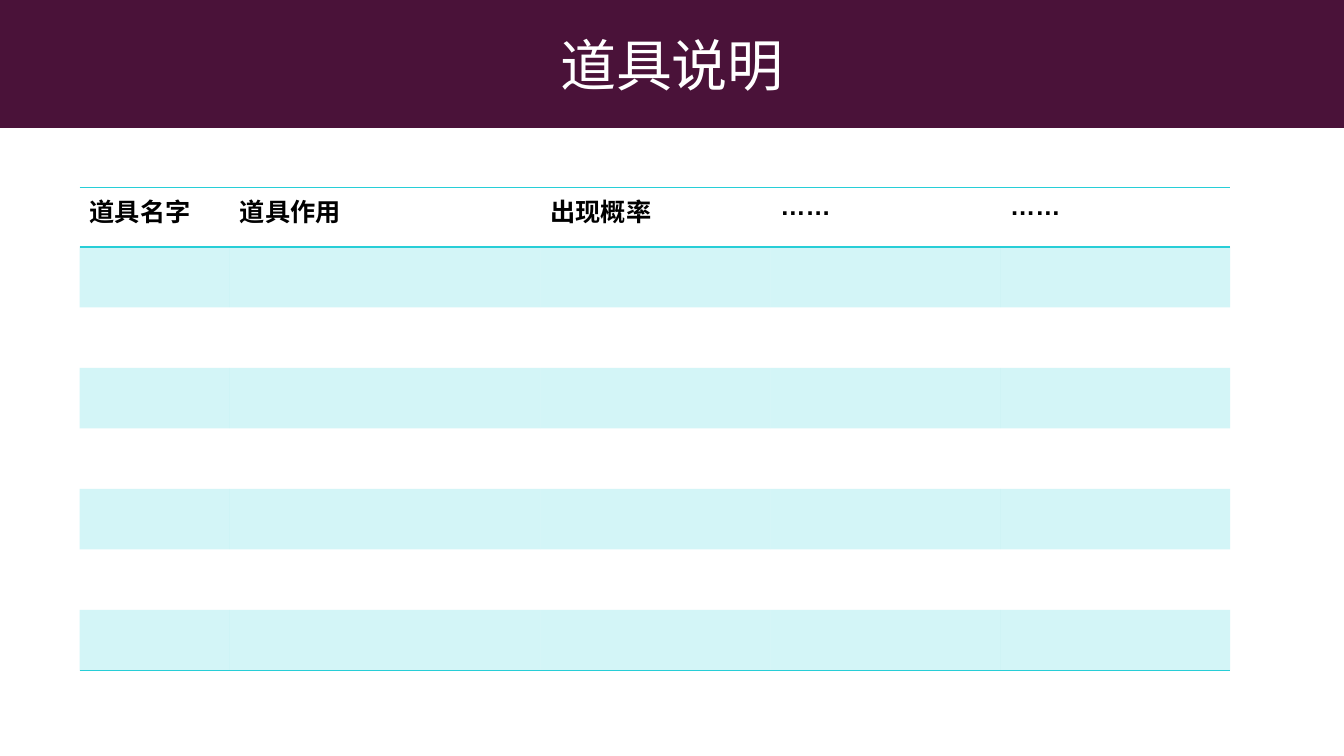
from lxml import etree
from pptx import Presentation
from pptx.dml.color import RGBColor
from pptx.enum.shapes import MSO_SHAPE
from pptx.enum.text import MSO_ANCHOR, PP_ALIGN
from pptx.oxml.ns import qn
from pptx.util import Inches, Pt

RECTANGLE = MSO_SHAPE.RECTANGLE
MIDDLE = MSO_ANCHOR.MIDDLE
CENTER = PP_ALIGN.CENTER
PLUM, TURQUOISE, WHITE, BLACK = "4A1239", "27CED7", "FFFFFF", "000000"
NO_STYLE_NO_GRID = "{2D5ABB26-0587-4C30-8999-92F81FD0307C}"
HEADINGS = ["道具名字", "道具作用", "出现概率", "……", "……"]
COLUMN_WIDTHS = [1.49, 3.08, 2.28, 2.28, 2.28]
ROW_HEIGHTS = [0.59] + [0.6] * 7


def style_font(font, size, color, bold=False):
    font.name = "Arial"
    font.size = Pt(size)
    font.bold = bold
    font.color.rgb = RGBColor.from_string(color)


def add_border(cell, tag):
    """Draw a one-point turquoise line on a cell side: a:lnT or a:lnB."""
    line = etree.SubElement(cell._tc.get_or_add_tcPr(), qn(tag), w=str(Pt(1)))
    fill = etree.SubElement(line, qn("a:solidFill"))
    etree.SubElement(fill, qn("a:srgbClr"), val=TURQUOISE)


deck = Presentation()
deck.slide_width = Inches(13.33)
deck.slide_height = Inches(7.5)
page = deck.slides.add_slide(deck.slide_layouts[6])

# Title band
band = page.shapes.add_shape(RECTANGLE, 0, 0, deck.slide_width, Inches(1.27))
band.shadow.inherit = False
band.fill.solid()
band.fill.fore_color.rgb = RGBColor.from_string(PLUM)
band.line.fill.background()
band.text_frame.vertical_anchor = MIDDLE
title = band.text_frame.paragraphs[0]
title.text = "道具说明"
title.alignment = CENTER
style_font(title.font, 40, WHITE)

# Item table
frame = page.shapes.add_table(
    len(ROW_HEIGHTS), len(COLUMN_WIDTHS), Inches(0.79), Inches(1.86),
    Inches(sum(COLUMN_WIDTHS)), Inches(sum(ROW_HEIGHTS)))
table = frame.table
table.first_row = False
table.horz_banding = False
table._tbl.tblPr.find(qn("a:tableStyleId")).text = NO_STYLE_NO_GRID
for column, width in zip(table.columns, COLUMN_WIDTHS):
    column.width = Inches(width)

last_row = len(ROW_HEIGHTS) - 1
for row_index, height in enumerate(ROW_HEIGHTS):
    row = table.rows[row_index]
    row.height = Inches(height)
    for cell, heading in zip(row.cells, HEADINGS):
        if row_index == 0:
            para = cell.text_frame.paragraphs[0]
            para.text = heading
            style_font(para.font, 18, BLACK, bold=True)
            add_border(cell, "a:lnT")
        if row_index in (0, last_row):
            add_border(cell, "a:lnB")
        if row_index % 2:
            cell.fill.solid()
            cell.fill.fore_color.rgb = RGBColor.from_string(TURQUOISE)
            color = cell._tc.tcPr.find(qn("a:solidFill")).find(qn("a:srgbClr"))
            etree.SubElement(color, qn("a:alpha"), val="20000")
        else:
            cell.fill.background()

deck.save("out.pptx")
